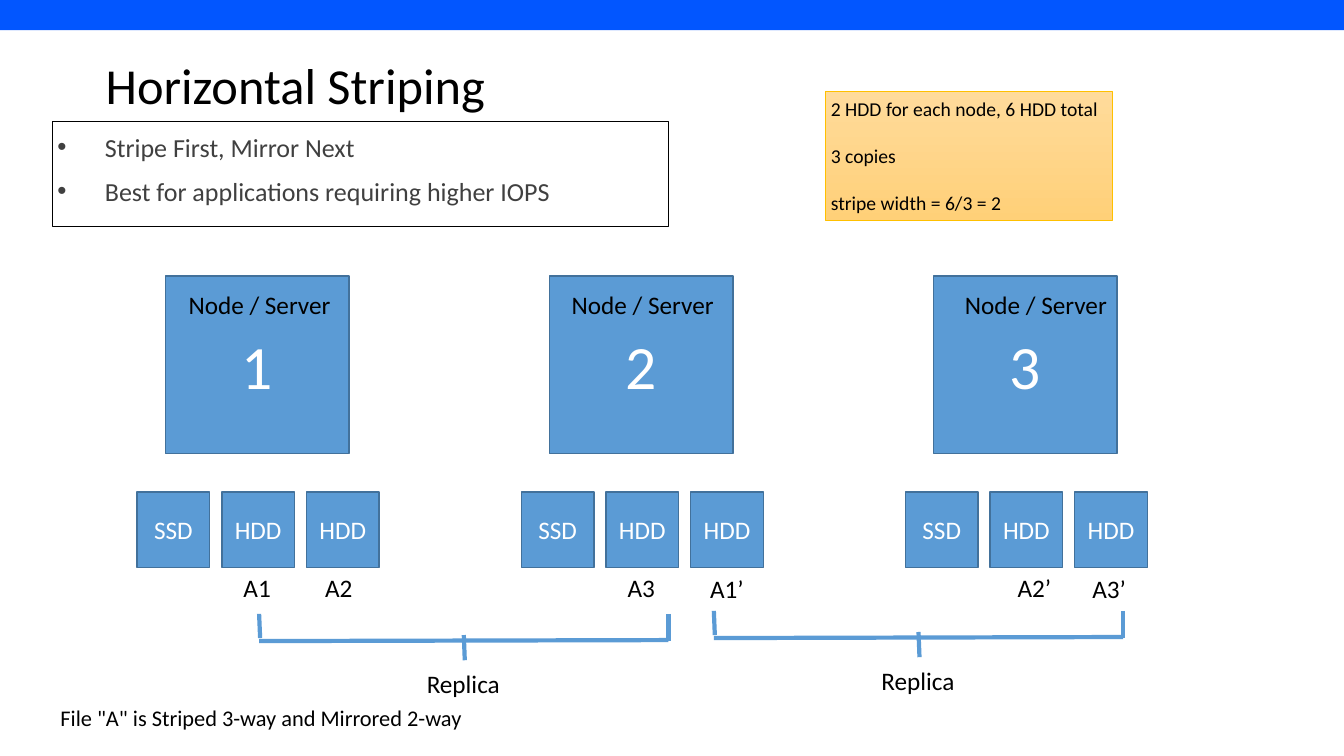
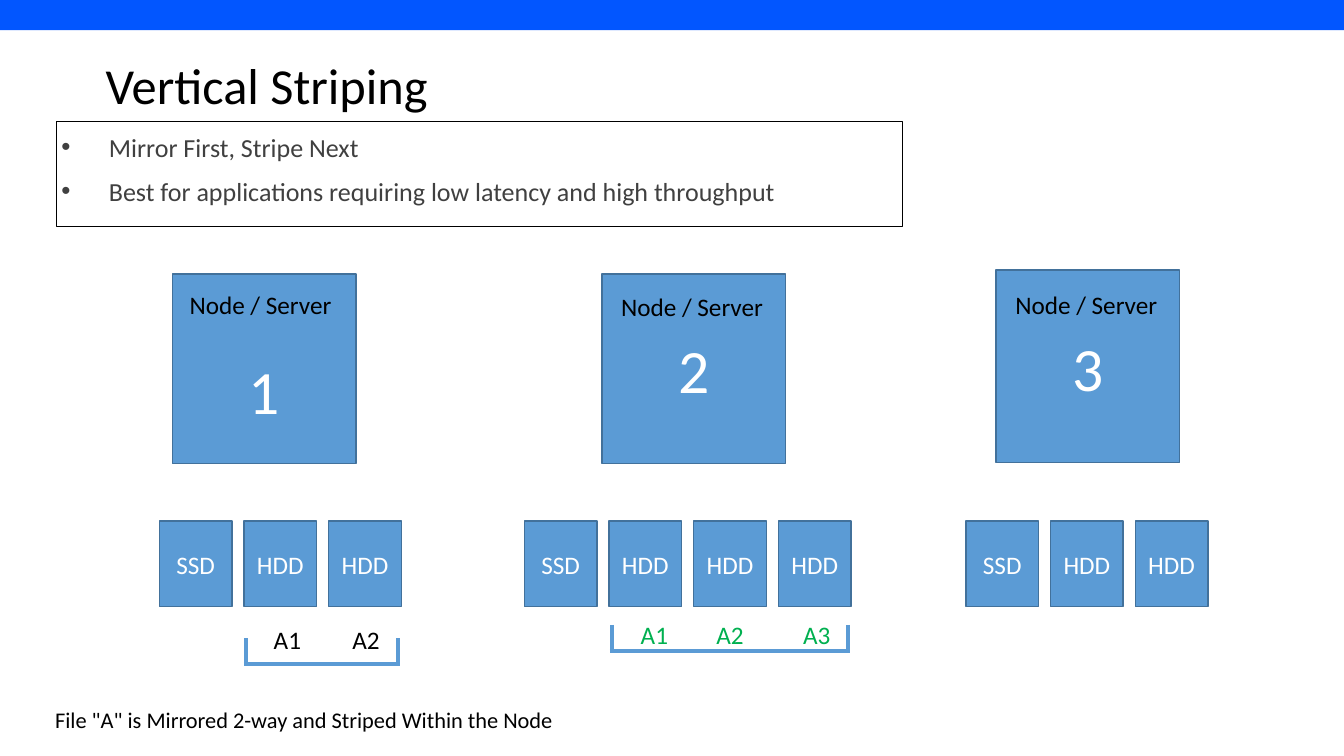
import pptx
import pptx.util
import pptx.dml.color
import pptx.enum.shapes
import pptx.enum.text
import pptx.oxml
import pptx.oxml.ns

Inches = pptx.util.Inches
Pt = pptx.util.Pt
ALIGN = pptx.enum.text.PP_ALIGN
ANCHOR = pptx.enum.text.MSO_ANCHOR


def color(value):
    return pptx.dml.color.RGBColor.from_string(value)


def add_element(parent, tag, **attrs):
    el = pptx.oxml.parse_xml(f'<{tag} {pptx.oxml.ns.nsdecls("a")}/>')
    for name, value in attrs.items():
        el.set(name, str(value))
    parent.append(el)


def write(shape, text, size=18, fg="000000", align=ALIGN.CENTER, anchor=ANCHOR.TOP,
          inset=0.05, drop=0, wrap=True, spacing=None, before=0, indent=0):
    """Fill a shape with text, one paragraph per line; drop lowers centred text."""
    tf = shape.text_frame
    tf.word_wrap = wrap
    tf.vertical_anchor = anchor
    tf.margin_left = tf.margin_right = tf.margin_bottom = Inches(inset)
    tf.margin_top = Inches(inset + 2 * drop)
    for i, line in enumerate(text.split("\n")):
        p = tf.paragraphs[0] if i == 0 else tf.add_paragraph()
        p.alignment = align
        p.line_spacing = spacing
        if i:
            p.space_before = Pt(before)
        if indent:
            pPr = p._p.get_or_add_pPr()
            pPr.set("marL", str(Inches(indent)))
            pPr.set("indent", str(Inches(-indent)))
            add_element(pPr, "a:buFont", typeface="Arial")
            add_element(pPr, "a:buChar", char="•")
        r = p.add_run()
        r.text = line
        r.font.name = Deck.FONT
        r.font.size = Pt(size)
        r.font.color.rgb = color(fg)


class Deck:
    FONT = "Calibri"
    BAND = "0256FF"
    BLUE, BLUE_EDGE = "5B9BD5", "42719B"
    GREEN, GRAY, WHITE, BLACK = "00B050", "404040", "FFFFFF", "000000"
    DISK_W, DISK_PITCH = 0.72, 0.84

    def __init__(self):
        self.prs = pptx.Presentation()
        self.prs.slide_width = Inches(13.33)
        self.prs.slide_height = Inches(7.5)

    def new_slide(self, title):
        self.s = self.prs.slides.add_slide(self.prs.slide_layouts[6])
        self.rect(0, 0, 13.33, 0.3, fill=self.BAND)
        self.text(0.95, 0.4, 11.44, 0.96, title, size=36, align=ALIGN.LEFT,
                  anchor=ANCHOR.MIDDLE, inset=0.1, spacing=0.9)

    def rect(self, x, y, w, h, fill=None, edge=None, weight=1):
        sp = self.s.shapes.add_shape(pptx.enum.shapes.MSO_SHAPE.RECTANGLE,
                                     Inches(x), Inches(y), Inches(w), Inches(h))
        sp.shadow.inherit = False
        if fill:
            sp.fill.solid()
            sp.fill.fore_color.rgb = color(fill)
        else:
            sp.fill.background()
        if edge:
            sp.line.color.rgb = color(edge)
            sp.line.width = Pt(weight)
        else:
            sp.line.fill.background()
        return sp

    def text(self, x, y, w, h, text, **style):
        box = self.s.shapes.add_textbox(Inches(x), Inches(y), Inches(w), Inches(h))
        write(box, text, **style)

    def line(self, x1, y1, x2, y2):
        cn = self.s.shapes.add_connector(pptx.enum.shapes.MSO_CONNECTOR.STRAIGHT,
                                         Inches(x1), Inches(y1), Inches(x2), Inches(y2))
        cn.line.color.rgb = color(self.BLUE)
        cn.line.width = Pt(3)
        add_element(cn._element.spPr, "a:effectLst")

    def bullets(self, x, w, text):
        sp = self.rect(x, 1.21, w, 1.04, edge=self.BLACK, weight=0.75)
        write(sp, text, size=18.6, fg=self.GRAY, align=ALIGN.LEFT,
              spacing=1.14, before=6, indent=0.47)

    def note(self, x, y, w, h, text):
        sp = self.rect(x, y, w, h, edge="FFC000", weight=0.5)
        sp.fill.gradient()
        sp.fill.gradient_angle = 270
        for stop, value in zip(sp.fill.gradient_stops, ("FFDB9B", "FFD078")):
            stop.color.rgb = color(value)
        write(sp, text, size=14, align=ALIGN.LEFT, before=17)

    def node(self, number, x, y, h, label_x, label_y=2.82, drop=0):
        sp = self.rect(x, y, 1.82, h, self.BLUE, self.BLUE_EDGE)
        write(sp, str(number), size=44, fg=self.WHITE, anchor=ANCHOR.MIDDLE, drop=drop)
        self.text(label_x, label_y, 1.59, 0.4, "Node / Server", align=ALIGN.LEFT)

    def disks(self, x, y, h, hdds=2):
        for i, name in enumerate(["SSD"] + ["HDD"] * hdds):
            sp = self.rect(x + i * self.DISK_PITCH, y, self.DISK_W, h,
                           self.BLUE, self.BLUE_EDGE)
            write(sp, name, fg=self.WHITE, anchor=ANCHOR.MIDDLE)

    def block(self, x, y, name, fg=BLACK):
        self.text(x, y, self.DISK_W, 0.39, name, fg=fg)

    def replica(self, x, y):
        """Slightly slanted bracket with a stem and its label."""
        for x1, y1, x2, y2 in ((0, 0.27, 4.06, 0.26), (4.06, 0, 4.06, 0.27),
                               (0, 0, 0.01, 0.24), (2.03, 0.21, 2.04, 0.46)):
            self.line(x + x1, y + y1, x + x2, y + y2)
        self.text(x + 1.02, y + 0.49, 2.01, 0.39, "Replica")

    def bracket(self, x, y, w):
        self.line(x, y + 0.26, x + w, y + 0.26)
        for tick in (x + 0.02, x + w - 0.02):
            self.line(tick, y, tick, y + 0.27)

    def caption(self, x, y, w, text):
        self.text(x, y, w, 0.38, text, size=16, anchor=ANCHOR.MIDDLE,
                  inset=0.06, wrap=False)


def horizontal(d):
    d.new_slide("Horizontal Striping")
    # Nodes and their disks
    for i, label_x in enumerate((1.82, 5.62, 9.52)):
        x = 1.64 + 3.81 * i
        d.node(i + 1, x, 2.74, 1.76, label_x)
        d.disks(x - 0.28, 4.88, 0.75)
    # File blocks
    for x, y, name in ((2.19, 5.63, "A1"), (3, 5.63, "A2"), (6, 5.63, "A3"),
                       (6.85, 5.64, "A1’"), (9.9, 5.63, "A2’"), (10.64, 5.64, "A3’")):
        d.block(x, y, name)
    d.replica(2.57, 6.09)
    d.replica(7.08, 6.06)
    # Explanations
    d.caption(0.52, 6.93, 4.14, 'File "A" is Striped 3-way and Mirrored 2-way')
    d.bullets(0.52, 6.11, "Stripe First, Mirror Next\n"
                          "Best for applications requiring higher IOPS")
    d.note(8.19, 0.91, 2.84, 1.28,
           "2 HDD for each node, 6 HDD total\n3 copies\nstripe width = 6/3 = 2")


def vertical(d):
    d.new_slide("Vertical Striping")
    # Nodes and their disks
    d.node(1, 1.71, 2.72, 1.88, 1.83, drop=0.21)
    d.node(2, 5.97, 2.72, 1.88, 6.11, label_y=2.84)
    d.node(3, 9.88, 2.68, 1.91, 10.02)
    for x, hdds in ((1.58, 2), (5.2, 3), (9.58, 2)):
        d.disks(x, 5.17, 0.85, hdds)
    # File blocks
    for x, name in ((2.49, "A1"), (3.27, "A2")):
        d.block(x, 6.14, name)
    for x, name in ((6.13, "A1"), (6.88, "A2"), (7.74, "A3")):
        d.block(x, 6.09, name, fg=d.GREEN)
    d.bracket(2.42, 6.33, 1.55)
    d.bracket(6.05, 6.2, 2.38)
    # Explanations
    d.caption(0.46, 6.95, 5.11, 'File "A" is Mirrored 2-way and Striped Within the Node')
    d.bullets(0.56, 8.39, "Mirror First, Stripe Next\n"
                          "Best for applications requiring low latency and high throughput")


def main():
    d = Deck()
    horizontal(d)
    vertical(d)
    d.prs.save("out.pptx")


if __name__ == "__main__":
    main()
